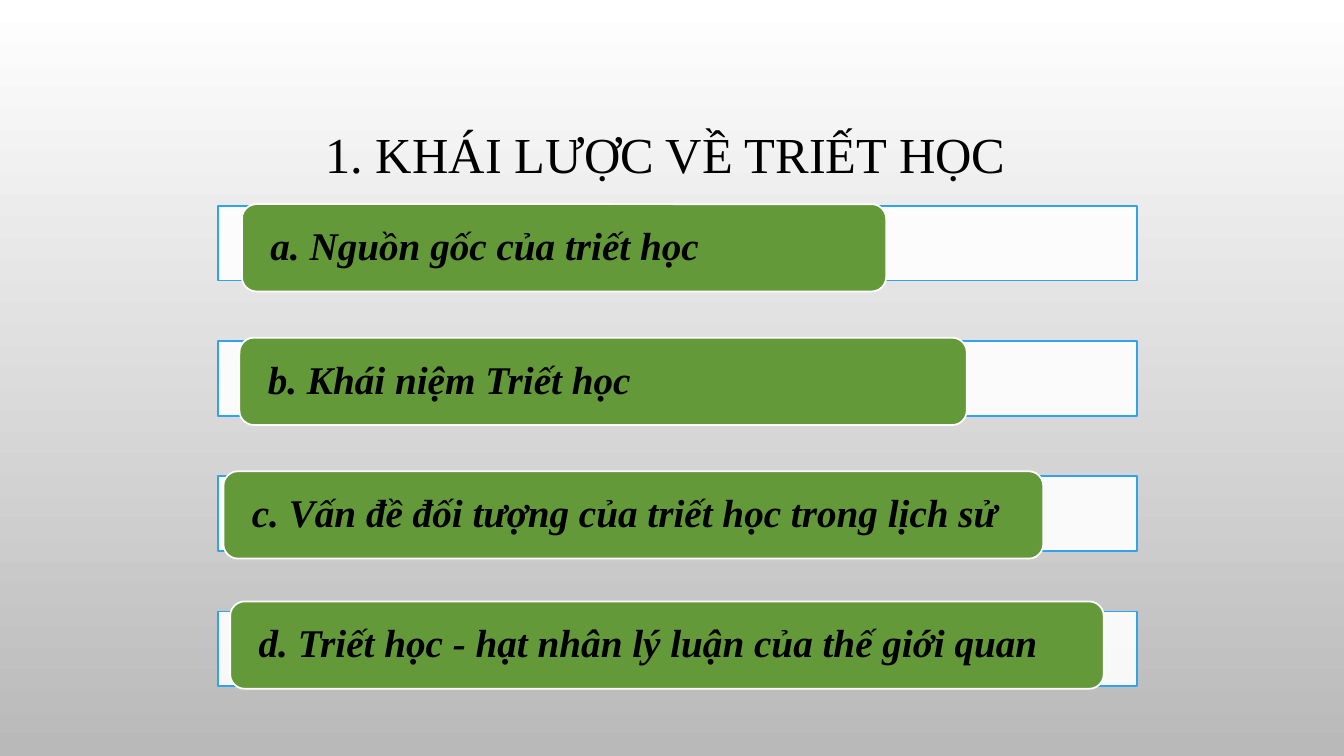
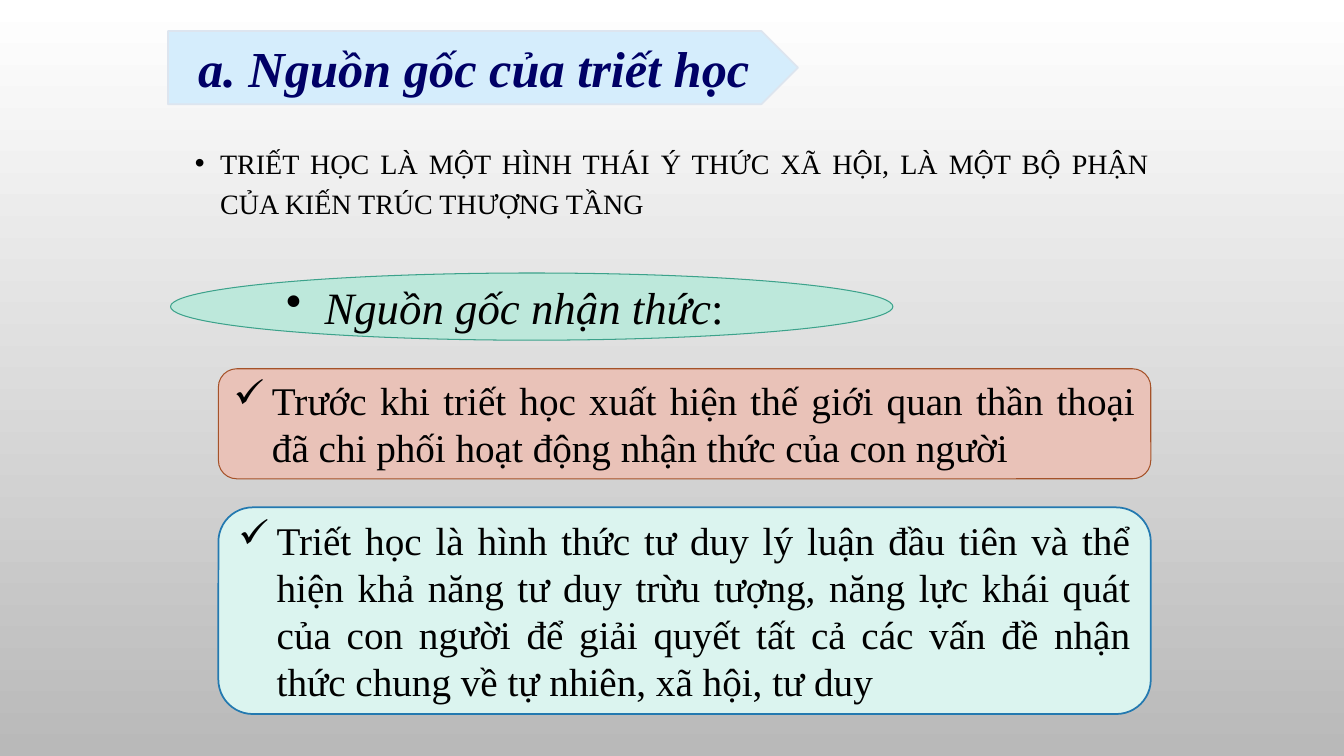
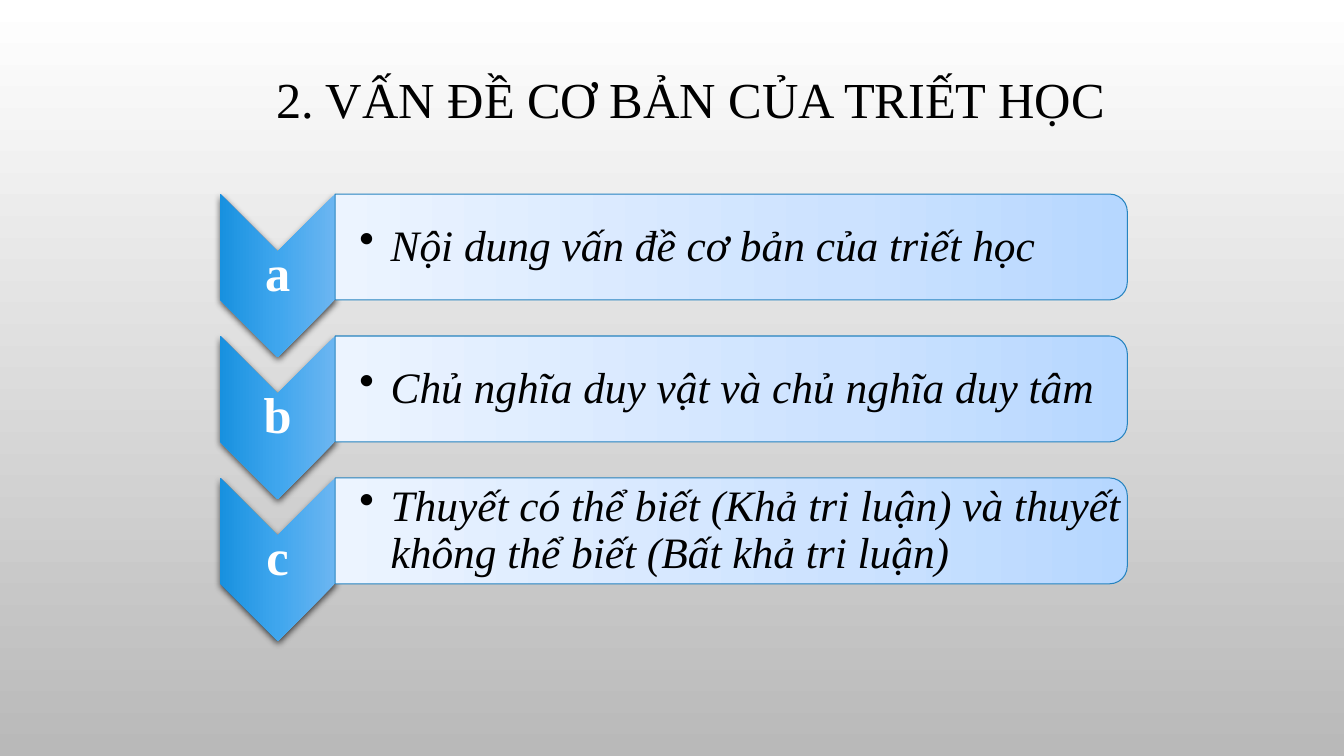
import collections

import lxml.etree
import pptx
import pptx.dml.color
import pptx.enum.shapes
import pptx.enum.text
import pptx.oxml.ns
import pptx.util

COLUMNS, ROWS = 160, 90
CELL = pptx.util.Inches(7.5) / ROWS
FONT = "Times New Roman"
BLACK, WHITE = "000000", "FFFFFF"
PAGE_STOPS = [(0, WHITE), (100, "B9B9B9")]
CHEVRON_STOPS = [(0, "6CB6F1"), (50, "3FA6EE"), (100, "1891DF")]
PANEL_STOPS = [(0, "B6D7FF"), (35, "CCE2FF"), (100, "ECF4FF")]

SHAPE = pptx.enum.shapes.MSO_SHAPE
ALIGN = pptx.enum.text.PP_ALIGN
ANCHOR = pptx.enum.text.MSO_ANCHOR
Box = collections.namedtuple("Box", "left top width height")
Pill = collections.namedtuple("Pill", "text left top width")


def cells(count):
    """Turn a number of grid cells into a length."""
    return pptx.util.Emu(round(count * CELL))


def color(code):
    """Turn a hex string into a colour."""
    return pptx.dml.color.RGBColor.from_string(code)


def child(parent, tag, **attributes):
    """Add a DrawingML element to a parent."""
    return lxml.etree.SubElement(parent, pptx.oxml.ns.qn(tag), attributes)


def find(owner, tag):
    """Return the first element with this tag inside a shape or master."""
    return next(owner.element.iter(pptx.oxml.ns.qn(tag)))


def fill_gradient(owner, fill, stops):
    """Fill from top to bottom through the given stops."""
    fill.gradient()
    fill.gradient_angle = 270
    stop_list = find(owner, "a:gsLst")
    stop_list.clear()
    for position, code in stops:
        stop = child(stop_list, "a:gs", pos=str(position * 1000))
        child(stop, "a:srgbClr", val=code)


def move(shape, box):
    """Place a shape on the grid."""
    shape.left, shape.top, shape.width, shape.height = map(cells, box)


def add_shape(page, kind, box, fill=None, line=None, weight=1.25):
    """Add a flat preset shape."""
    shape = page.shapes.add_shape(kind, *map(cells, box))
    shape.shadow.inherit = False
    if fill:
        shape.fill.solid()
        shape.fill.fore_color.rgb = color(fill)
    if line:
        shape.line.color.rgb = color(line)
        shape.line.width = pptx.util.Pt(weight)
    else:
        shape.line.fill.background()
    return shape


def add_turned(page, kind, box, stops, line=None):
    """Add a gradient shape turned a quarter so that it covers the box."""
    shift = (box.width - box.height) / 2
    upright = Box(box.left + shift, box.top - shift, box.height, box.width)
    shape = add_shape(page, kind, upright, line=line, weight=0.75)
    shape.rotation = 90
    fill_gradient(shape, shape.fill, stops)
    return shape


def write(shape, spans, size, ink=BLACK, align=ALIGN.LEFT, spacing=1.0, bold=False,
          bullet=None, indent=0, margins=None, anchor=ANCHOR.MIDDLE):
    """Write one paragraph of (text, italic) spans into a shape."""
    frame = shape.text_frame
    frame.word_wrap = True
    frame.auto_size = pptx.enum.text.MSO_AUTO_SIZE.NONE
    frame.vertical_anchor = anchor
    if margins:
        (frame.margin_left, frame.margin_top,
         frame.margin_right, frame.margin_bottom) = map(pptx.util.Inches, margins)
    para = frame.paragraphs[0]
    if bullet:
        properties = para._p.get_or_add_pPr()
        properties.set("marL", str(pptx.util.Inches(indent)))
        properties.set("indent", str(-pptx.util.Inches(indent)))
        child(properties, "a:buChar", char=bullet)
    para.alignment = align
    para.line_spacing = spacing
    para.space_before = pptx.util.Pt(0)
    for text, italic in spans:
        span = para.add_run()
        span.text = text
        span.font.name = FONT
        span.font.size = pptx.util.Pt(size)
        span.font.bold = bold
        span.font.italic = italic
        span.font.color.rgb = color(ink)


def add_titled_page(deck, text, box):
    """Add a page with a centred title."""
    page = deck.slides.add_slide(deck.slide_layouts[5])
    move(page.shapes.title, box)
    write(page.shapes.title, [(text, False)], 36, align=ALIGN.CENTER, spacing=0.9)
    return page


def add_pill_bar(page, box, pill):
    """Add a pale bar with a green pill placed relative to it."""
    bar = add_shape(page, SHAPE.RECTANGLE, box, WHITE, "2FA3EE")
    child(find(bar, "a:srgbClr"), "a:alpha", val="90000")
    place = Box(box.left + pill.left, box.top + pill.top, pill.width, 10.4)
    shape = add_shape(page, SHAPE.ROUNDED_RECTANGLE, place, "649939", WHITE)
    write(shape, [(pill.text, True)], 28, bold=True, spacing=0.9,
          margins=(0.24, 0, 0.24, 0))


def add_chevron_row(page, box, letter, text):
    """Add a lettered chevron with a text panel to its right."""
    chevron_box = box._replace(width=13.7)
    chevron = add_turned(page, SHAPE.CHEVRON, chevron_box, CHEVRON_STOPS)
    shadow = child(find(chevron, "a:effectLst"), "a:outerShdw", blurRad="63500",
                   dist="25400", dir="5400000", rotWithShape="0")
    child(child(shadow, "a:srgbClr", val=BLACK), "a:alpha", val="69000")
    label = page.shapes.add_textbox(*map(cells, chevron_box))
    write(label, [(letter, False)], 36, WHITE, ALIGN.CENTER, 0.9, True,
          margins=(0.03,) * 4)

    panel_box = Box(box.left + chevron_box.width, box.top,
                    box.width - chevron_box.width, 12.6)
    add_turned(page, SHAPE.ROUND_2_SAME_RECTANGLE, panel_box, PANEL_STOPS, "2683BF")
    caption = page.shapes.add_textbox(*map(cells, panel_box._replace(width=93.7)))
    write(caption, [(text, True)], 31, spacing=0.9, bullet="•", indent=0.31,
          margins=(0.24, 0.02, 0.02, 0.02))


def build_overview(deck):
    """Build the page that lists the four topics."""
    page = add_titled_page(deck, "1. KHÁI LƯỢC VỀ TRIẾT HỌC ", Box(12, 8.2, 136, 21))
    pills = [
        Pill("a. Nguồn gốc của triết học", 2.8, -0.2, 76.7),
        Pill("b. Khái niệm Triết học", 2.5, -0.4, 86.6),
        Pill("c. Vấn đề đối tượng của triết học trong lịch sử", 0.6, -0.6, 97.6),
        Pill("d. Triết học - hạt nhân lý luận của thế giới quan", 1.4, -1.2, 104),
    ]
    for index, pill in enumerate(pills):
        add_pill_bar(page, Box(26, 24.5 + 16.1 * index, 109.4, 8.9), pill)


def build_origin(deck):
    """Build the page on the origin of philosophy."""
    page = deck.slides.add_slide(deck.slide_layouts[1])
    heading = page.shapes.title
    heading.element.getparent().remove(heading.element)
    body = page.placeholders[1]
    move(body, Box(22, 16, 116, 71))
    write(body, [("TRIẾT HỌC LÀ MỘT HÌNH THÁI Ý THỨC XÃ HỘI, LÀ MỘT BỘ PHẬN "
                  "CỦA KIẾN TRÚC THƯỢNG TẦNG", False)], 20, align=ALIGN.JUSTIFY,
          spacing=1.2, bullet="•", indent=0.25, anchor=ANCHOR.TOP)

    plate = add_shape(page, SHAPE.PENTAGON, Box(20, 3.7, 75, 8.7), "D5EDFC", "DDE5EF")
    write(plate, [("a. Nguồn gốc của triết học", True)], 36, "000066",
          ALIGN.CENTER, bold=True)

    notes = [
        (SHAPE.OVAL, Box(20.3, 32.5, 86, 8), "BDE8DB", "3CA28B", 0.75, "•", 32,
         [("Nguồn gốc nhận thức", True), (":", False)]),
        (SHAPE.ROUNDED_RECTANGLE, Box(26, 43.9, 111, 13.1), "E9C2B8", "A55229", 0.75,
         "✓", 28,
         [("Trước khi triết học xuất hiện thế giới quan thần thoại đã chi phối "
           "hoạt động nhận thức của con người", False)]),
        (SHAPE.ROUNDED_RECTANGLE, Box(26, 60.4, 111, 24.6), "DBF4EF", "2379B0", 1.25,
         "✓", 28,
         [("Triết học là hình thức tư duy lý luận đầu tiên và thể hiện khả năng "
           "tư duy trừu tượng, năng lực khái quát của con người để giải quyết "
           "tất cả các vấn đề nhận thức chung về tự nhiên, xã hội, tư duy", False)]),
    ]
    for kind, box, fill, line, weight, bullet, size, spans in notes:
        note = add_shape(page, kind, box, fill, line, weight)
        write(note, spans, size, align=ALIGN.JUSTIFY, bullet=bullet, indent=0.38)


def build_basic_problem(deck):
    """Build the page on the basic problem of philosophy."""
    page = add_titled_page(deck, "2. VẤN ĐỀ CƠ BẢN CỦA TRIẾT HỌC ",
                           Box(24, 4, 118, 16.4))
    topics = {
        "a": "Nội dung vấn đề cơ bản của triết học",
        "b": "Chủ nghĩa duy vật và chủ nghĩa duy tâm",
        "c": "Thuyết có thể biết (Khả tri luận) và thuyết không thể biết "
             "(Bất khả tri luận)",
    }
    for index, (letter, text) in enumerate(topics.items()):
        add_chevron_row(page, Box(26.2, 23.1 + 16.9 * index, 108, 19.4), letter, text)


def main():
    """Build and save the deck."""
    deck = pptx.Presentation()
    deck.slide_width, deck.slide_height = cells(COLUMNS), cells(ROWS)
    master = deck.slide_master
    fill_gradient(master, master.background.fill, PAGE_STOPS)
    build_overview(deck)
    build_origin(deck)
    build_basic_problem(deck)
    deck.save("out.pptx")


if __name__ == "__main__":
    main()
